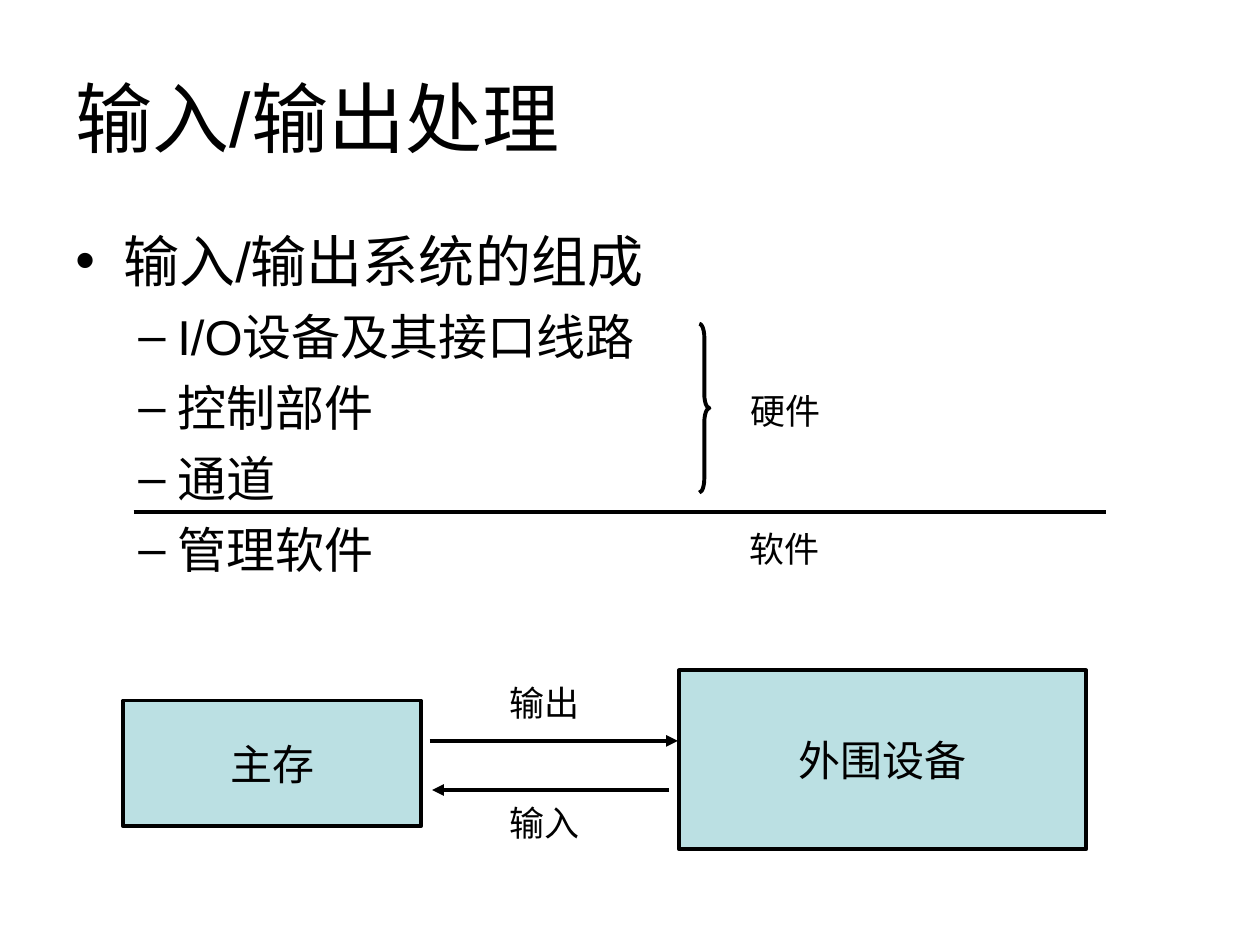
from dataclasses import dataclass

from lxml import etree
from pptx import Presentation
from pptx import util as u
from pptx.dml.color import RGBColor
from pptx.enum import shapes, text
from pptx.oxml.ns import qn


@dataclass(frozen=True)
class Theme:
    """Colours, type sizes and line width of the slide."""
    font: str = "Arial"
    ink: RGBColor = RGBColor(0, 0, 0)
    fill: RGBColor = RGBColor(0xBB, 0xE0, 0xE3)
    title: int = 44
    bullet: int = 32
    item: int = 28
    block: int = 24
    label: int = 20
    line: float = 2.25


@dataclass(frozen=True)
class Box:
    """A rectangle on a grid of 100 columns by 75 rows."""
    left: float
    top: float
    width: float
    height: float

    def inner(self, left, top, width, height):
        """Return a box placed relative to this one."""
        return Box(self.left + left, self.top + top, width, height)

    def lengths(self):
        """Return left, top, width and height as slide lengths."""
        return [u.Inches(value / 10) for value in (self.left, self.top, self.width, self.height)]


THEME = Theme()


def place(shape, box):
    """Move and size a shape to a box."""
    shape.left, shape.top, shape.width, shape.height = box.lengths()


def write(paragraph, words, size, align=text.PP_ALIGN.LEFT, before=0, bullet=None, margin=0, hang=0):
    """Write formatted words into a paragraph."""
    if bullet:
        properties = paragraph._p.get_or_add_pPr()
        properties.set("marL", str(u.Inches(margin)))
        properties.set("indent", str(-u.Inches(hang)))
        etree.SubElement(properties, qn("a:buFont"), typeface=THEME.font)
        etree.SubElement(properties, qn("a:buChar"), char=bullet)
    paragraph.alignment = align
    paragraph.space_before = u.Pt(before)
    run = paragraph.add_run()
    run.text = words
    run.font.name = THEME.font
    run.font.size = u.Pt(size)
    run.font.color.rgb = THEME.ink


def add_label(slide, box, words, align=text.PP_ALIGN.LEFT):
    """Add a small caption."""
    frame = slide.shapes.add_textbox(*box.lengths()).text_frame
    frame.word_wrap = True
    write(frame.paragraphs[0], words, THEME.label, align=align)


def add_outline(shape):
    """Give a shape the common outline and no shadow."""
    shape.shadow.inherit = False
    shape.line.color.rgb = THEME.ink
    shape.line.width = u.Pt(THEME.line)


def add_block(slide, box, words):
    """Add a filled block with a centred name."""
    block = slide.shapes.add_shape(shapes.MSO_SHAPE.RECTANGLE, *box.lengths())
    add_outline(block)
    block.fill.solid()
    block.fill.fore_color.rgb = THEME.fill
    frame = block.text_frame
    frame.word_wrap = False
    frame.vertical_anchor = text.MSO_ANCHOR.MIDDLE
    write(frame.paragraphs[0], words, THEME.block, align=text.PP_ALIGN.CENTER)


def add_line(slide, box, start, end, row, arrow=False):
    """Add a level line between two columns of a box."""
    x1, x2, y = (u.Inches(value / 10) for value in (box.left + start, box.left + end, box.top + row))
    line = slide.shapes.add_connector(shapes.MSO_CONNECTOR.STRAIGHT, x1, y, x2, y)
    line.line.color.rgb = THEME.ink
    line.line.width = u.Pt(THEME.line)
    if arrow:
        etree.SubElement(line.line._get_or_add_ln(), qn("a:tailEnd"), type="triangle")
    etree.SubElement(line._element.spPr, qn("a:effectLst"))


def add_title(slide, box):
    """Fill the title placeholder."""
    title = slide.shapes.title
    place(title, box)
    title.text_frame.vertical_anchor = text.MSO_ANCHOR.MIDDLE
    write(title.text_frame.paragraphs[0], "输入/输出处理", THEME.title)


def add_composition(slide, box):
    """Add the parts list, split into hardware and software."""
    frame = slide.shapes.add_textbox(*box.lengths()).text_frame
    frame.word_wrap = True
    write(frame.paragraphs[0], "输入/输出系统的组成", THEME.bullet, bullet="•", margin=0.38, hang=0.38)
    for item in ("I/O设备及其接口线路", "控制部件", "通道", "管理软件"):
        write(frame.add_paragraph(), item, THEME.item, before=7, bullet="–", margin=0.81, hang=0.31)

    brace = slide.shapes.add_shape(
        shapes.MSO_SHAPE.RIGHT_BRACE, *box.inner(50.5, 8.2, 0.8, 13.4).lengths())
    add_outline(brace)
    brace.fill.background()
    brace.adjustments[0] = 1.38
    add_label(slide, box.inner(53.6, 12.9, 14.2, 4.4), "硬件")
    add_label(slide, box.inner(53.5, 23.9, 10.2, 4.4), "软件")
    add_line(slide, box, 5.6, 82.8, 23.1)


def add_transfer(slide, box):
    """Add memory and peripherals with arrows both ways."""
    add_block(slide, box.inner(0, 2.4, 23.6, 10), "主存")
    add_block(slide, box.inner(44.1, 0, 32.3, box.height), "外围设备")
    flows = (("输出", 24.3, 44, 5.6, 0.4), ("输入", 43.3, 24.5, 9.5, 9.9))
    for words, start, end, row, label_row in flows:
        add_line(slide, box, start, end, row, arrow=True)
        add_label(slide, box.inner(25.2, label_row, 16.5, 4.4), words, align=text.PP_ALIGN.CENTER)


def main():
    """Build and save the slide."""
    presentation = Presentation()
    presentation.slide_width, presentation.slide_height = u.Inches(10), u.Inches(7.5)
    slide = presentation.slides.add_slide(presentation.slide_layouts[5])
    add_title(slide, Box(5, 3, 90, 12.5))
    add_composition(slide, Box(5, 17.5, 90, 49.5))
    add_transfer(slide, Box(9.8, 53.2, 76.4, 14.2))
    presentation.save("out.pptx")


if __name__ == "__main__":
    main()
